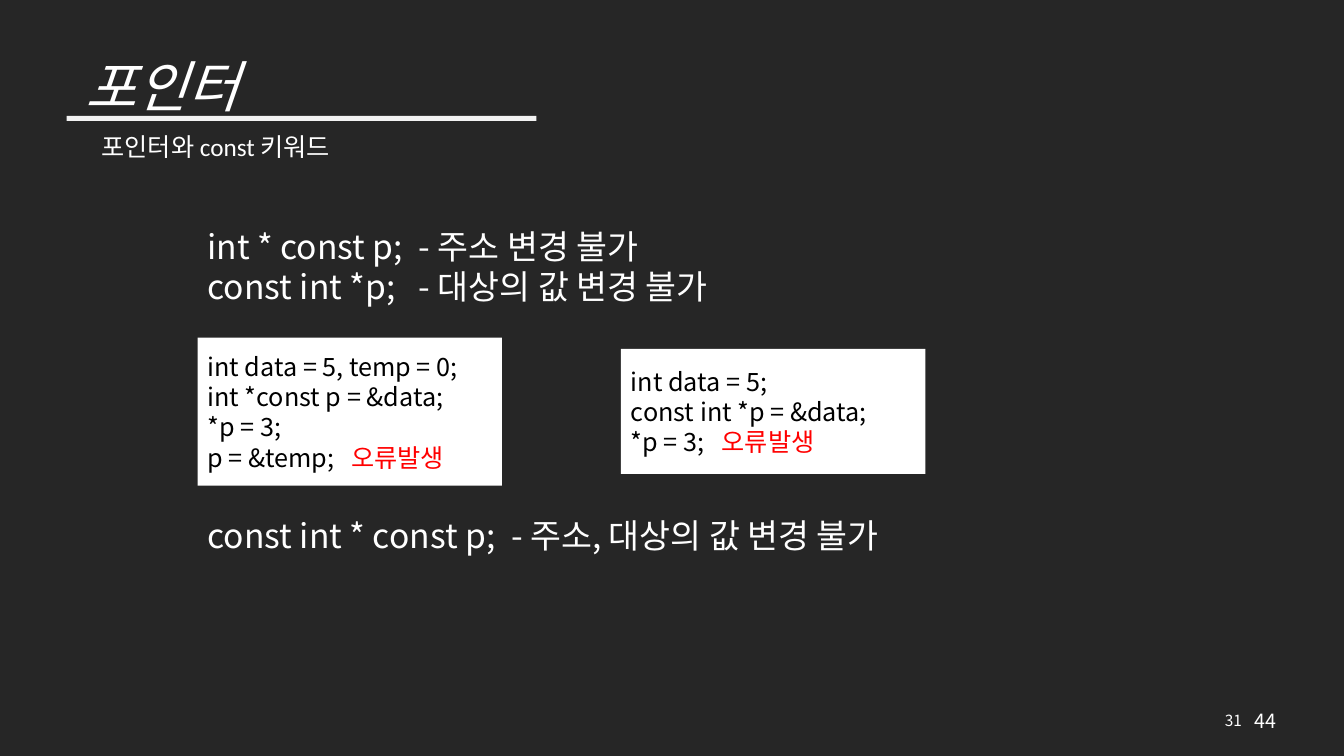
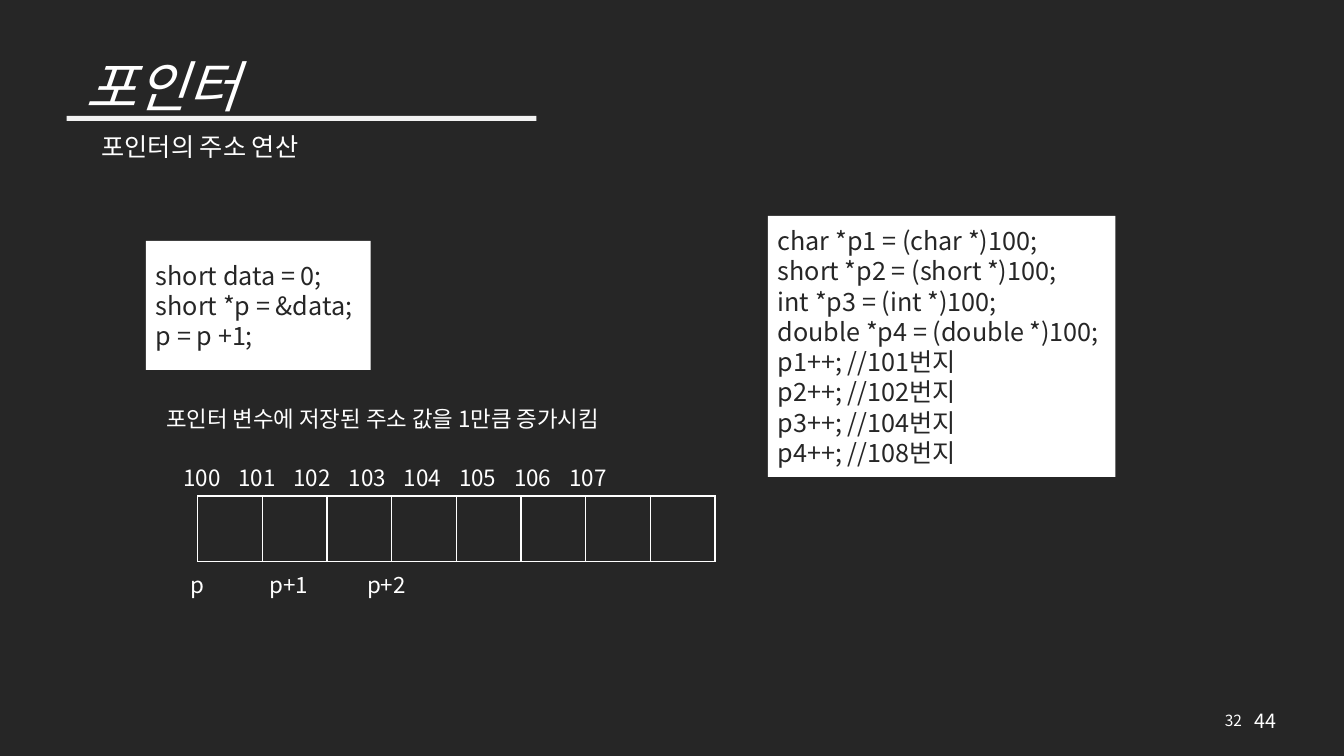
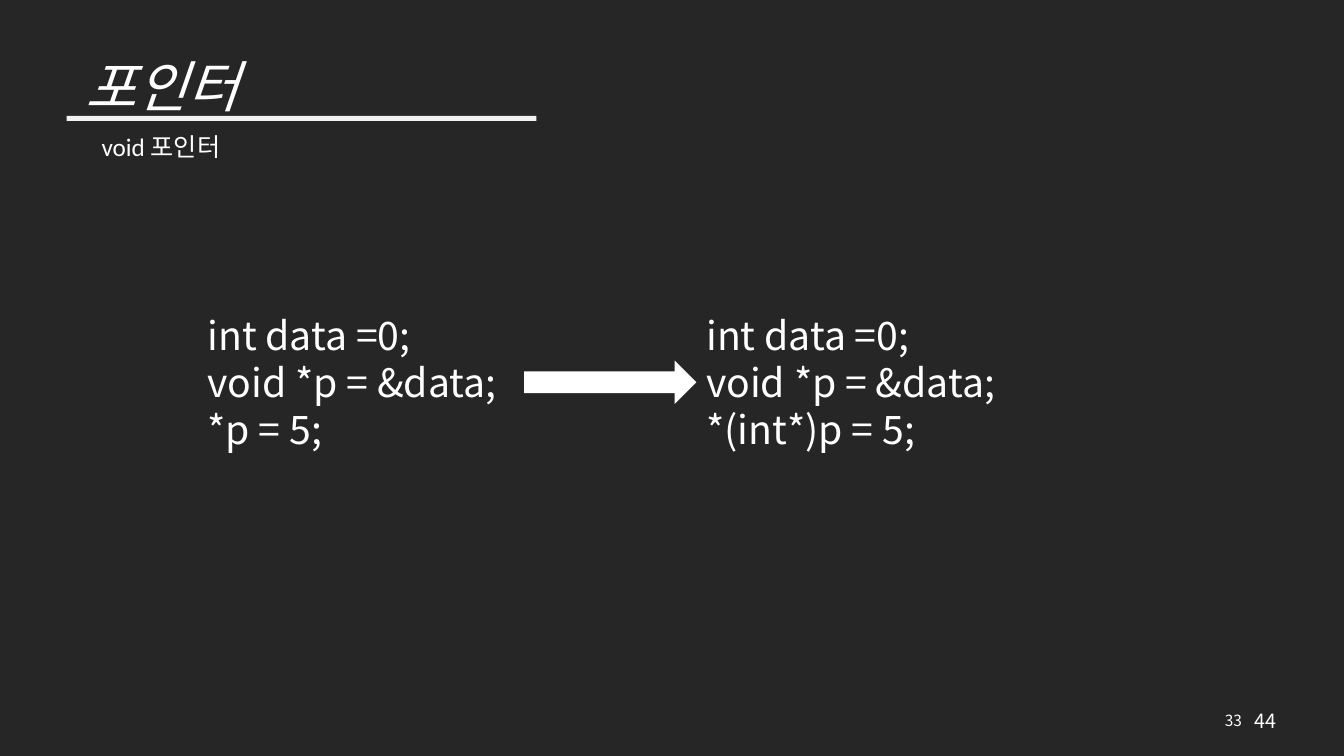
from lxml import etree
from pptx import Presentation
from pptx.dml.color import RGBColor
from pptx.enum.shapes import MSO_SHAPE
from pptx.enum.text import MSO_ANCHOR, PP_ALIGN
from pptx.oxml.ns import qn
from pptx.util import Cm, Pt

RECT, ARROW = MSO_SHAPE.RECTANGLE, MSO_SHAPE.RIGHT_ARROW
TOP, MIDDLE = MSO_ANCHOR.TOP, MSO_ANCHOR.MIDDLE
LEFT, CENTER, RIGHT = PP_ALIGN.LEFT, PP_ALIGN.CENTER, PP_ALIGN.RIGHT
TITLE_ONLY = 5

DARK, WHITE, BLACK, RED, PALE = "262626", "FFFFFF", "000000", "FF0000", "F2F2F2"
FONT, SUBTITLE_FONT = "Noto Sans CJK KR", "Calibri"
ERROR = "오류발생"
TOTAL = "44"
LINE_HEIGHT = 1.2


def rgb(color):
    """Turn a hex string into a colour."""
    return RGBColor.from_string(color)


def place(shape, box):
    """Move and size a shape to left, top, width, height in cm."""
    shape.left, shape.top, shape.width, shape.height = map(Cm, box)


def set_font(p, size, color, name=FONT):
    """Set a paragraph's font, with the Korean face beside the Latin one."""
    p.font.size, p.font.name = Pt(size), name
    p.font.color.rgb = rgb(color)
    ea = etree.SubElement(p.font._element, qn("a:ea"))
    ea.set("typeface", FONT)


def set_tabs(p, stops):
    """Give a paragraph left tab stops in cm."""
    tabs = etree.SubElement(p._p.get_or_add_pPr(), qn("a:tabLst"))
    for stop in stops:
        etree.SubElement(tabs, qn("a:tab"), pos=str(Cm(stop)), algn="l")


def write(shape, lines, size, color=WHITE, name=FONT, align=LEFT,
          anchor=TOP, tabs=(), wrap=True):
    """Write lines into a shape; the error note stands out in red."""
    tf = shape.text_frame
    tf.word_wrap, tf.vertical_anchor = wrap, anchor
    for i, line in enumerate(lines):
        p = tf.paragraphs[0] if i == 0 else tf.add_paragraph()
        p.alignment, p.line_spacing = align, Pt(size * LINE_HEIGHT)
        if tabs:
            set_tabs(p, tabs)
        set_font(p, size, color, name)
        code, note, _ = line.partition(ERROR)
        p.add_run().text = code
        if note:
            r = p.add_run()
            r.text = note
            r.font.color.rgb = rgb(RED)


def add_text(s, box, lines, size, **style):
    """Add a text box."""
    write(s.shapes.add_textbox(*map(Cm, box)), lines, size, **style)


def add_block(s, kind, box, color):
    """Add a plain filled shape."""
    shape = s.shapes.add_shape(kind, *map(Cm, box))
    shape.shadow.inherit = False
    shape.fill.solid()
    shape.fill.fore_color.rgb = rgb(color)
    shape.line.fill.background()
    return shape


def add_code(s, box, lines, color=DARK, tabs=()):
    """Add a white panel of code."""
    write(add_block(s, RECT, box, WHITE), lines, 18, color,
          anchor=MIDDLE, tabs=tabs)


def add_memory(s, left, top, cell_width, height, count):
    """Add a one-row table of empty, outlined memory cells."""
    frame = s.shapes.add_table(1, count, Cm(left), Cm(top),
                               Cm(cell_width * count), Cm(height))
    for cell in frame.table.rows[0].cells:
        tcPr = cell._tc.get_or_add_tcPr()
        for side in ("lnL", "lnR", "lnT", "lnB"):
            ln = etree.SubElement(tcPr, qn(f"a:{side}"), w=str(Pt(1)))
            paint = etree.SubElement(ln, qn("a:solidFill"))
            etree.SubElement(paint, qn("a:srgbClr"), val=WHITE)
        cell.fill.background()


def add_slide(prs, number, subtitle):
    """Add a slide with the shared title, rule, subtitle and page numbers."""
    s = prs.slides.add_slide(prs.slide_layouts[TITLE_ONLY])
    add_text(s, (31.37, 17.73, 1.07, 0.86), [TOTAL], 14, wrap=False)
    title = s.shapes.title
    place(title, (1.68, 1.45, 4.83, 1.6))
    title.text_frame.text = "포인터"
    title.text_frame.vertical_anchor = MIDDLE
    p = title.text_frame.paragraphs[0]
    p.alignment, p.line_spacing = CENTER, 0.9
    set_font(p, 39.6, WHITE)
    p.font.italic = True
    add_text(s, (28.35, 17.65, 3.2, 1.02), [str(number)], 11,
             align=RIGHT, anchor=MIDDLE)
    add_block(s, RECT, (1.68, 2.92, 11.84, 0.13), PALE)
    add_text(s, (2.31, 3.18, 10.29, 1.02), [subtitle], 18, name=SUBTITLE_FONT)
    return s


def const_slide(prs):
    """Pointers and the const keyword."""
    s = add_slide(prs, 31, "포인터와 const 키워드")
    add_text(s, (4.98, 5.56, 21.36, 2.31),
             ["int * const p;\t- 주소 변경 불가",
              "const int *p;\t- 대상의 값 변경 불가"], 24, tabs=[5.32])
    add_code(s, (4.98, 8.51, 7.67, 3.73),
             ["int data = 5, temp = 0;", "int *const p = &data;", "*p = 3;",
              "p = &temp;\t" + ERROR], BLACK, [3.62])
    add_code(s, (15.65, 8.79, 7.67, 3.15),
             ["int data = 5;", "const int *p = &data;", "*p = 3;\t" + ERROR],
             BLACK, [2.29])
    add_text(s, (4.98, 12.85, 21.36, 1.27),
             ["const int * const p;\t- 주소, 대상의 값 변경 불가"], 24,
             tabs=[7.65])


def arithmetic_slide(prs):
    """Address arithmetic on pointers."""
    s = add_slide(prs, 32, "포인터의 주소 연산")
    add_code(s, (3.68, 6.07, 5.66, 3.25),
             ["short data = 0;", "short *p = &data;", "p = p +1;"])
    add_text(s, (3.94, 10.08, 12.85, 0.94),
             ["포인터 변수에 저장된 주소 값을 1만큼 증가시킴"], 16)
    add_memory(s, 4.98, 12.5, 1.63, 1.65, 8)
    add_text(s, (4.37, 11.56, 13.11, 0.94),
             ["\t".join(str(address) for address in range(100, 108))], 16,
             tabs=[1.39 * i for i in range(1, 8)])
    add_text(s, (4.55, 14.27, 7.98, 0.94), ["p\tp+1\tp+2"], 16,
             tabs=[2, 4.45])
    types = [("char", 1), ("short", 2), ("int", 4), ("double", 8)]
    casts = [f"{t} *p{i} = ({t} *)100;" for i, (t, _) in enumerate(types, 1)]
    steps = [f"p{i}++; //{100 + size}번지"
             for i, (_, size) in enumerate(types, 1)]
    add_code(s, (19.35, 5.44, 8.76, 6.58), casts + steps)


def void_slide(prs):
    """The void pointer, before and after the cast."""
    s = add_slide(prs, 33, "void 포인터")
    for left, target in ((4.98, "*p"), (17.55, "*(int*)p")):
        add_text(s, (left, 7.72, 8.23, 3.84),
                 ["int data =0;", "void *p = &data;", f"{target} = 5;"], 28)
    add_block(s, ARROW, (13.21, 9.09, 4.34, 1.09), WHITE)


def main():
    """Build and save the slides."""
    prs = Presentation()
    prs.slide_width, prs.slide_height = Cm(33.87), Cm(19.05)
    background = prs.slide_master.background.fill
    background.solid()
    background.fore_color.rgb = rgb(DARK)
    const_slide(prs)
    arithmetic_slide(prs)
    void_slide(prs)
    prs.save("out.pptx")


main()
